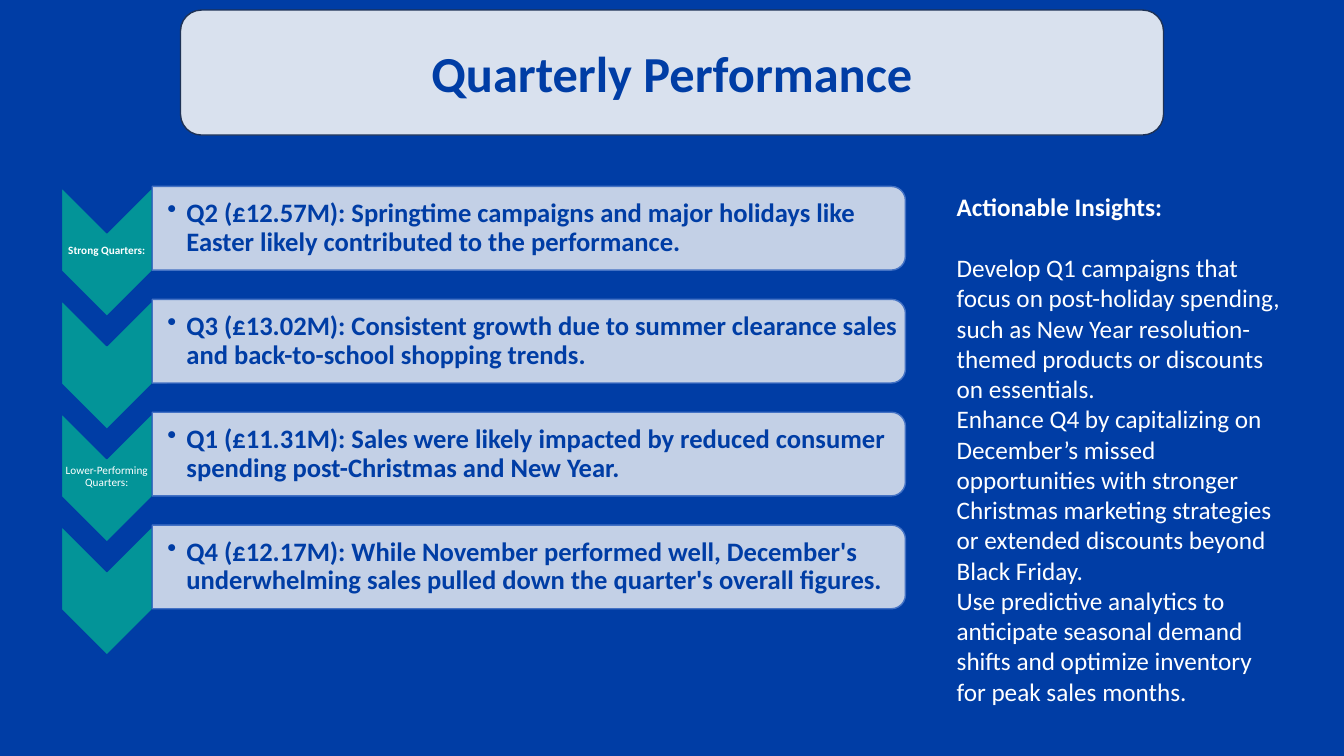
from lxml import etree
from pptx import Presentation
from pptx.dml.color import RGBColor
from pptx.enum.shapes import MSO_SHAPE
from pptx.enum.text import MSO_ANCHOR, MSO_AUTO_SIZE, PP_ALIGN
from pptx.oxml.ns import qn
from pptx.util import Inches, Pt

ROUNDED = MSO_SHAPE.ROUNDED_RECTANGLE
CHEVRON = MSO_SHAPE.CHEVRON
ROUND_TOP = MSO_SHAPE.ROUND_2_SAME_RECTANGLE
MIDDLE = MSO_ANCHOR.MIDDLE
CENTER = PP_ALIGN.CENTER
LEFT = PP_ALIGN.LEFT
GROW = MSO_AUTO_SIZE.SHAPE_TO_FIT_TEXT

THEME = {
    "font": "Calibri",
    "blue": RGBColor.from_string("003DA5"),
    "pale": RGBColor.from_string("D9E1EE"),
    "navy": RGBColor.from_string("1E3256"),
    "teal": RGBColor.from_string("039498"),
    "edge": RGBColor.from_string("4472C4"),
    "white": RGBColor.from_string("FFFFFF"),
    "title": Pt(36),
    "bar": Pt(19),
    "body": Pt(18),
    "label": Pt(8),
}

QUARTERS = [
    ("Strong Quarters:", True,
     "Q2 (£12.57M): Springtime campaigns and major holidays like Easter likely contributed to the performance."),
    ("", False,
     "Q3 (£13.02M): Consistent growth due to summer clearance sales and back-to-school shopping trends."),
    ("Lower-Performing Quarters:", False,
     "Q1 (£11.31M): Sales were likely impacted by reduced consumer spending post-Christmas and New Year."),
    ("", False,
     "Q4 (£12.17M): While November performed well, December's underwhelming sales pulled down the quarter's overall figures."),
]
INSIGHTS = [
    "Develop Q1 campaigns that focus on post-holiday spending, such as New Year resolution-themed products or discounts on essentials.",
    "Enhance Q4 by capitalizing on December’s missed opportunities with stronger Christmas marketing strategies or extended discounts beyond Black Friday.",
    "Use predictive analytics to anticipate seasonal demand shifts and optimize inventory for peak sales months.",
]
ROW_STEP = 1.12

prs = Presentation()
prs.slide_width = Inches(13.33)
prs.slide_height = Inches(7.5)
s = prs.slides.add_slide(prs.slide_layouts[6])
s.background.fill.solid()
s.background.fill.fore_color.rgb = THEME["blue"]


def add_box(kind, at, fill=None, line=None, rotation=0):
    box = [Inches(v) for v in at]
    if kind is None:
        sp = s.shapes.add_textbox(*box)
    else:
        sp = s.shapes.add_shape(kind, *box)
        sp.shadow.inherit = False
        sp.rotation = rotation
        sp.fill.solid()
        sp.fill.fore_color.rgb = THEME[fill]
        sp.line.color.rgb = THEME[line]
        sp.line.width = Pt(1)
    sp.text_frame.word_wrap = True
    return sp


def write(p, text, size, color, bold, **layout):
    for name, value in layout.items():
        setattr(p, name, value)
    r = p.add_run()
    r.text = text
    r.font.color.rgb = THEME[color]
    for name, value in {"name": THEME["font"], "size": THEME[size], "bold": bold}.items():
        setattr(r.font, name, value)


sp = add_box(ROUNDED, (1.79, 0.1, 9.75, 1.24), "pale", "navy")
sp.text_frame.vertical_anchor = MIDDLE
write(sp.text_frame.paragraphs[0], "Quarterly Performance", "title", "blue", True, alignment=CENTER)

tight = {"vertical_anchor": MIDDLE}
for side in ("left", "top", "right", "bottom"):
    tight[f"margin_{side}"] = Inches(0.01)

for i, (label, bold, finding) in enumerate(QUARTERS):
    drop = i * ROW_STEP
    add_box(CHEVRON, (0.42, 2.05 + drop, 1.28, 0.9), "teal", "blue", 90)
    if label:
        tf = add_box(None, (0.61, 2.3 + drop, 0.9, 0.38)).text_frame
        for name, value in tight.items():
            setattr(tf, name, value)
        write(tf.paragraphs[0], label, "label", "white", bold, alignment=CENTER, line_spacing=0.9)

    bar = add_box(ROUND_TOP, (4.83, -1.47 + drop, 0.83, 7.47), "pale", "edge", 90)
    color = bar.fill._xPr.find(qn("a:solidFill"))[0]
    etree.SubElement(color, qn("a:alpha"), val="90000")

    tf = add_box(None, (1.51, 1.89 + drop, 7.43, 0.75)).text_frame
    for name, value in {**tight, "margin_left": Inches(0.15)}.items():
        setattr(tf, name, value)
    p = tf.paragraphs[0]
    write(p, finding, "bar", "blue", True, alignment=LEFT, line_spacing=0.9, level=1)
    pPr = p._p.get_or_add_pPr()
    pPr.set("marL", str(Inches(0.19)))
    pPr.set("indent", str(Inches(-0.19)))
    etree.SubElement(pPr, qn("a:buChar"), char="•")

tf = add_box(None, (9.39, 1.85, 3.46, 5.25)).text_frame
tf.auto_size = GROW
write(tf.paragraphs[0], "Actionable Insights:", "body", "white", True, space_after=Pt(22))
for insight in INSIGHTS:
    write(tf.add_paragraph(), insight, "body", "white", False)

prs.save("out.pptx")
